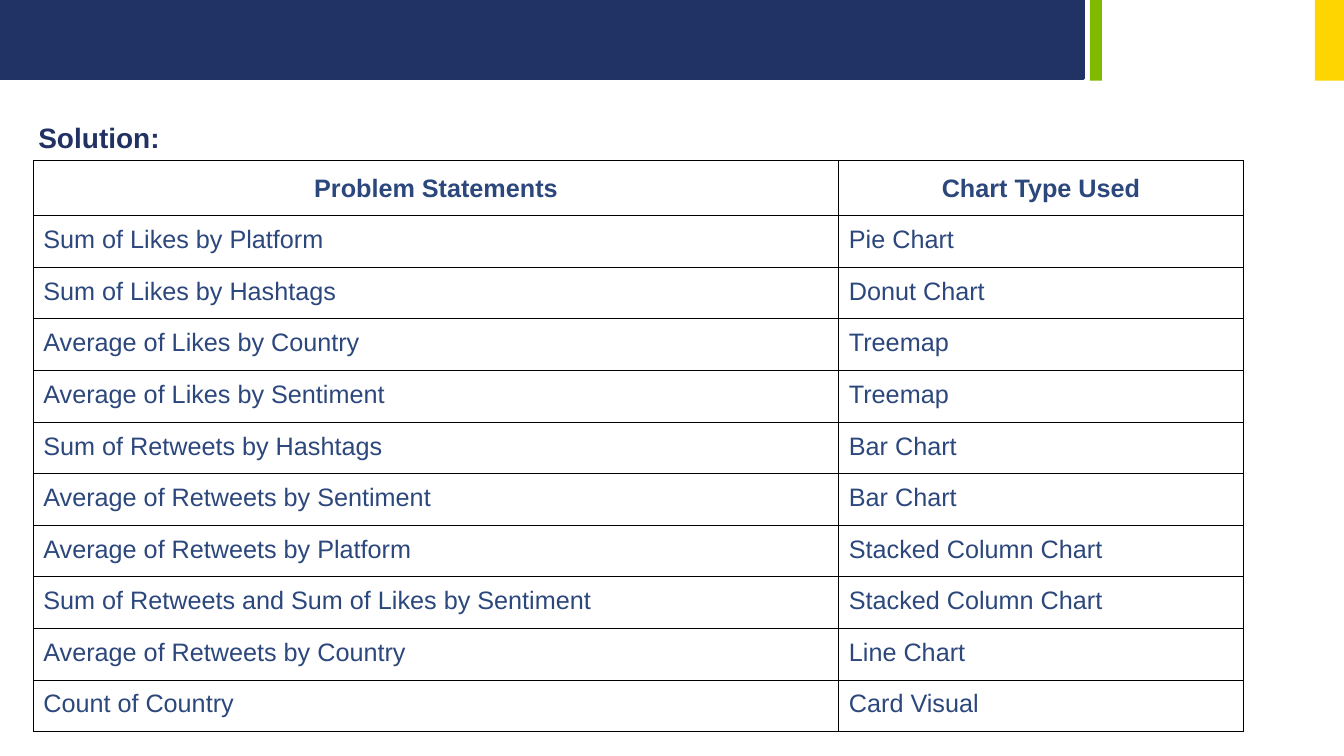
"""Build a slide that lists problem statements with the chart type used for each."""
from pptx import Presentation
from pptx.dml.color import RGBColor
from pptx.enum.shapes import MSO_SHAPE
from pptx.enum.text import MSO_ANCHOR, MSO_AUTO_SIZE, PP_ALIGN
from pptx.oxml import parse_xml
from pptx.oxml.ns import nsdecls
from pptx.util import Inches, Pt

TITLE = "Solution:"
HEADER = ("Problem Statements", "Chart Type Used")
SOLUTIONS = [
    ("Sum of Likes by Platform", "Pie Chart"),
    ("Sum of Likes by Hashtags", "Donut Chart"),
    ("Average of Likes by Country", "Treemap"),
    ("Average of Likes by Sentiment", "Treemap"),
    ("Sum of Retweets by Hashtags", "Bar Chart"),
    ("Average of Retweets by Sentiment", "Bar Chart"),
    ("Average of Retweets by Platform", "Stacked Column Chart"),
    ("Sum of Retweets and Sum of Likes by Sentiment", "Stacked Column Chart"),
    ("Average of Retweets by Country", "Line Chart"),
    ("Count of Country", "Card Visual"),
]
BANDS = [
    (0, 10.75, 0.78, "213264", 2),
    (10.81, 0.12, 0.8, "7FBA00", 0),
    (13.04, 0.29, 0.8, "FED500", 0),
]
COLUMN_WIDTHS = (7.99, 4.01)
TABLE_LEFT, TABLE_TOP, TABLE_HEIGHT, HEADER_HEIGHT = 0.33, 1.59, 5.67, 0.55
ROW_HEIGHT = (TABLE_HEIGHT - HEADER_HEIGHT) / len(SOLUTIONS)


def color(value):
    return RGBColor.from_string(value)


def write(frame, text, size=18, fill="2C477C", bold=False, align=PP_ALIGN.LEFT, spacing=1.0):
    para = frame.paragraphs[0]
    para.alignment = align
    para.line_spacing = spacing
    span = para.add_run()
    span.text = text
    span.font.name = "Arial"
    span.font.size = Pt(size)
    span.font.bold = bold
    span.font.color.rgb = color(fill)


def add_band(page, left, width, height, fill, line_width):
    band = page.shapes.add_shape(
        MSO_SHAPE.RECTANGLE, Inches(left), 0, Inches(width), Inches(height))
    band.shadow.inherit = False
    band.fill.solid()
    band.fill.fore_color.rgb = color(fill)
    if line_width:
        band.line.color.rgb = color(fill)
        band.line.width = Pt(line_width)
    else:
        band.line.fill.background()


def add_borders(cell):
    properties = cell._tc.get_or_add_tcPr()
    for position, side in enumerate(("lnL", "lnR", "lnT", "lnB")):
        properties.insert(position, parse_xml(
            f'<a:{side} {nsdecls("a")} w="{Pt(0.75)}"><a:solidFill>'
            f'<a:srgbClr val="000000"/></a:solidFill></a:{side}>'))


def add_title(page):
    title = page.shapes.title
    title.left, title.top = Inches(0.28), Inches(1.15)
    title.width, title.height = Inches(6.67), Inches(0.44)
    frame = title.text_frame
    frame.word_wrap = True
    frame.auto_size = MSO_AUTO_SIZE.SHAPE_TO_FIT_TEXT
    frame.vertical_anchor = MSO_ANCHOR.TOP
    write(frame, TITLE, size=20, fill="213163", bold=True)


def add_solutions(page):
    rows = [HEADER, *SOLUTIONS]
    table = page.shapes.add_table(
        len(rows), len(HEADER), Inches(TABLE_LEFT), Inches(TABLE_TOP),
        Inches(sum(COLUMN_WIDTHS)), Inches(TABLE_HEIGHT)).table
    table.horz_banding = False
    for column, width in zip(table.columns, COLUMN_WIDTHS):
        column.width = Inches(width)
    for index, texts in enumerate(rows):
        is_header = index == 0
        table.rows[index].height = Inches(HEADER_HEIGHT if is_header else ROW_HEIGHT)
        style = {"bold": True, "align": PP_ALIGN.CENTER, "spacing": 1.15} if is_header else {}
        for cell, text in zip(table.rows[index].cells, texts):
            cell.fill.background()
            cell.margin_left = cell.margin_right = Inches(0.1)
            cell.margin_top = cell.margin_bottom = Inches(0.1)
            add_borders(cell)
            write(cell.text_frame, text, **style)


def main():
    deck = Presentation()
    deck.slide_width, deck.slide_height = Inches(13.33), Inches(7.5)
    page = deck.slides.add_slide(deck.slide_layouts[5])
    for band in BANDS:
        add_band(page, *band)
    add_title(page)
    add_solutions(page)
    deck.save("out.pptx")


if __name__ == "__main__":
    main()
